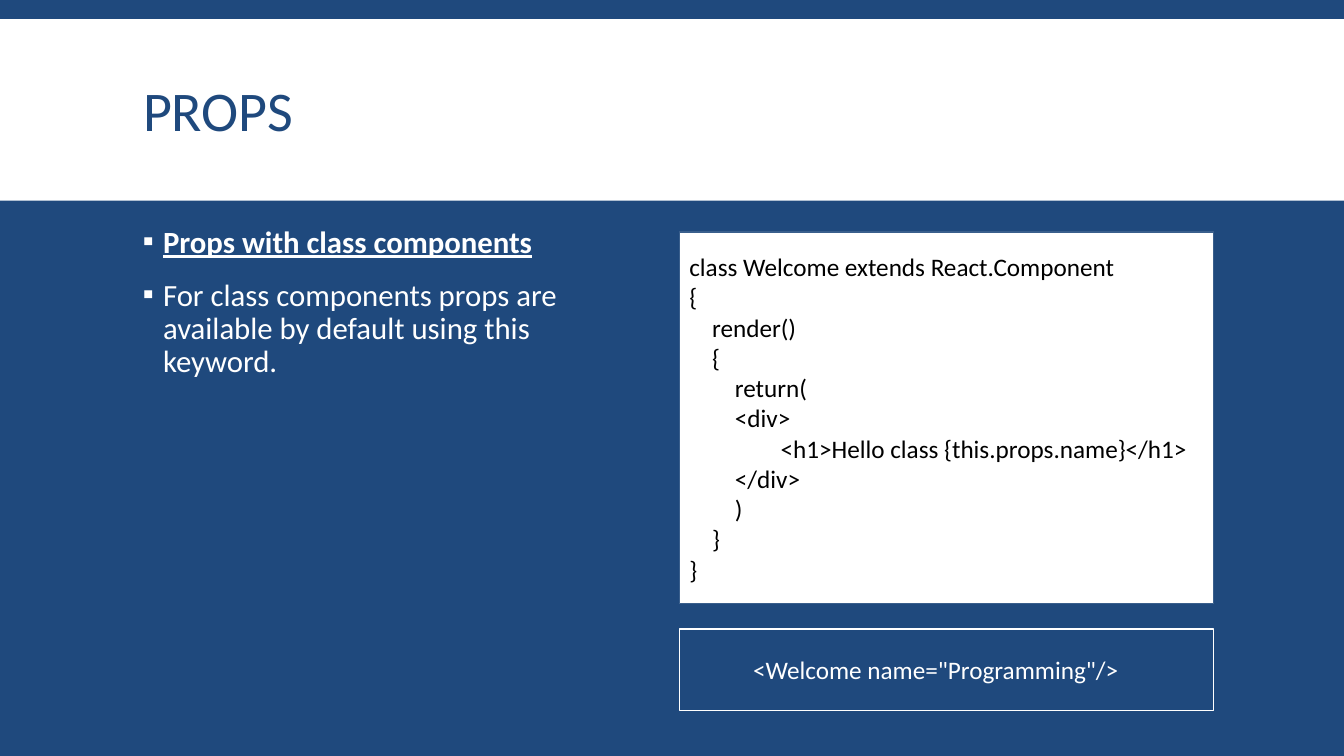
from dataclasses import dataclass, field
from typing import Any

from lxml.etree import SubElement
from pptx import Presentation
from pptx.dml.color import RGBColor
from pptx.enum.shapes import MSO_SHAPE as Preset
from pptx.enum.text import MSO_ANCHOR as Anchor, MSO_AUTO_SIZE as AutoSize, PP_ALIGN as Align
from pptx.oxml.ns import qn
from pptx.util import Pt

COLORS = {"navy": "1F497D", "white": "FFFFFF", "black": "000000", "edge": "3A5F8C"}
FONT = "Calibri"
CODE_INDENT = 16.3
BULLET_INDENT = 14.4
CODE_SIZE = 18
PANEL_LEFT, PANEL_WIDTH = 485.3, 381.6


@dataclass
class Box:
    left: float
    top: float
    width: float
    height: float
    fill: str = ""
    line: str = ""

    def lengths(self) -> list[Pt]:
        return [Pt(n) for n in (self.left, self.top, self.width, self.height)]


@dataclass
class Line:
    text: str
    size: float
    color: str
    indent: float = 0
    bullet: str = ""
    font: dict[str, Any] = field(default_factory=dict)
    spacing: dict[str, Any] = field(default_factory=dict)


def rgb(name: str) -> RGBColor:
    return RGBColor.from_string(COLORS[name])


def apply(target: Any, values: dict[str, Any]) -> None:
    for name, value in values.items():
        setattr(target, name, value)


def draw_box(slide: Any, box: Box) -> Any:
    panel = slide.shapes.add_shape(Preset.RECTANGLE, *box.lengths())
    panel.shadow.inherit = False
    if box.fill:
        panel.fill.solid()
        panel.fill.fore_color.rgb = rgb(box.fill)
    else:
        panel.fill.background()
    if box.line:
        panel.line.color.rgb = rgb(box.line)
        panel.line.width = Pt(1)
    else:
        panel.line.fill.background()
    return panel


def add_bullet(paragraph: Any, line: Line) -> None:
    properties = paragraph._p.get_or_add_pPr()
    properties.set("indent", str(-Pt(line.indent)))
    bullet_color = SubElement(properties, qn("a:buClr"))
    SubElement(bullet_color, qn("a:srgbClr"), val=COLORS[line.color])
    SubElement(properties, qn("a:buFont"), typeface=FONT)
    SubElement(properties, qn("a:buChar"), char=line.bullet)


def write(frame: Any, lines: list[Line], anchor: Anchor) -> None:
    apply(frame, {"word_wrap": True, "auto_size": AutoSize.NONE, "vertical_anchor": anchor})
    for number, line in enumerate(lines):
        paragraph = frame.add_paragraph() if number else frame.paragraphs[0]
        apply(paragraph, {"alignment": Align.LEFT, **line.spacing})
        if line.indent:
            paragraph._p.get_or_add_pPr().set("marL", str(Pt(line.indent)))
        if line.bullet:
            add_bullet(paragraph, line)
        run = paragraph.add_run()
        run.text = line.text
        apply(run.font, {"name": FONT, "size": Pt(line.size), **line.font})
        run.font.color.rgb = rgb(line.color)


def code(text: str, level: int, color: str) -> Line:
    return Line(text, CODE_SIZE, color, level * CODE_INDENT)


def point(text: str, **font: Any) -> Line:
    spacing = {"line_spacing": 0.9, "space_before": Pt(12), "space_after": Pt(2)}
    return Line(text, 22, "white", BULLET_INDENT, "▪", font, spacing)


TITLE_BAND = Box(0, 13.7, 960, 129.6, fill="white")
TITLE = Box(95, 22.3, 770.4, 118.8)
POINTS = Box(95, 158.4, 337, 331.2)
CLASS_PANEL = Box(PANEL_LEFT, 165.6, PANEL_WIDTH, 265.7, "white", "edge")
USAGE_TEXT = Box(498.2, 463.7, 318.2, 28.8)
USAGE_FRAME = Box(PANEL_LEFT, 449.3, PANEL_WIDTH, 58.3, line="white")

CLASS_CODE = [
    ("class Welcome extends React.Component", 0),
    ("{", 0),
    ("render()", 1),
    ("{", 1),
    ("return(", 2),
    ("<div>", 2),
    ("<h1>Hello class {this.props.name}</h1>", 4),
    ("</div>", 2),
    (")", 2),
    ("}", 1),
    ("}", 0),
]


def main() -> None:
    deck = Presentation()
    apply(deck, {"slide_width": Pt(960), "slide_height": Pt(540)})
    slide = deck.slides.add_slide(deck.slide_layouts[5])
    slide.background.fill.solid()
    slide.background.fill.fore_color.rgb = rgb("navy")

    band = draw_box(slide, TITLE_BAND)
    slide.shapes._spTree.insert(2, band._element)

    title = slide.shapes.title
    apply(title, dict(zip(("left", "top", "width", "height"), TITLE.lengths())))
    heading = Line("PROPS", 40, "navy", spacing={"line_spacing": 0.85})
    write(title.text_frame, [heading], Anchor.MIDDLE)

    points = slide.shapes.add_textbox(*POINTS.lengths())
    write(points.text_frame, [
        point("Props with class components", bold=True, underline=True),
        point("For class components props are available by default using this keyword."),
    ], Anchor.TOP)

    class_panel = draw_box(slide, CLASS_PANEL)
    class_lines = [code(text, level, "black") for text, level in CLASS_CODE]
    write(class_panel.text_frame, class_lines, Anchor.MIDDLE)

    usage = slide.shapes.add_textbox(*USAGE_TEXT.lengths())
    write(usage.text_frame, [code('<Welcome name="Programming"/>', 2, "white")], Anchor.TOP)
    draw_box(slide, USAGE_FRAME)

    deck.save("out.pptx")


if __name__ == "__main__":
    main()
